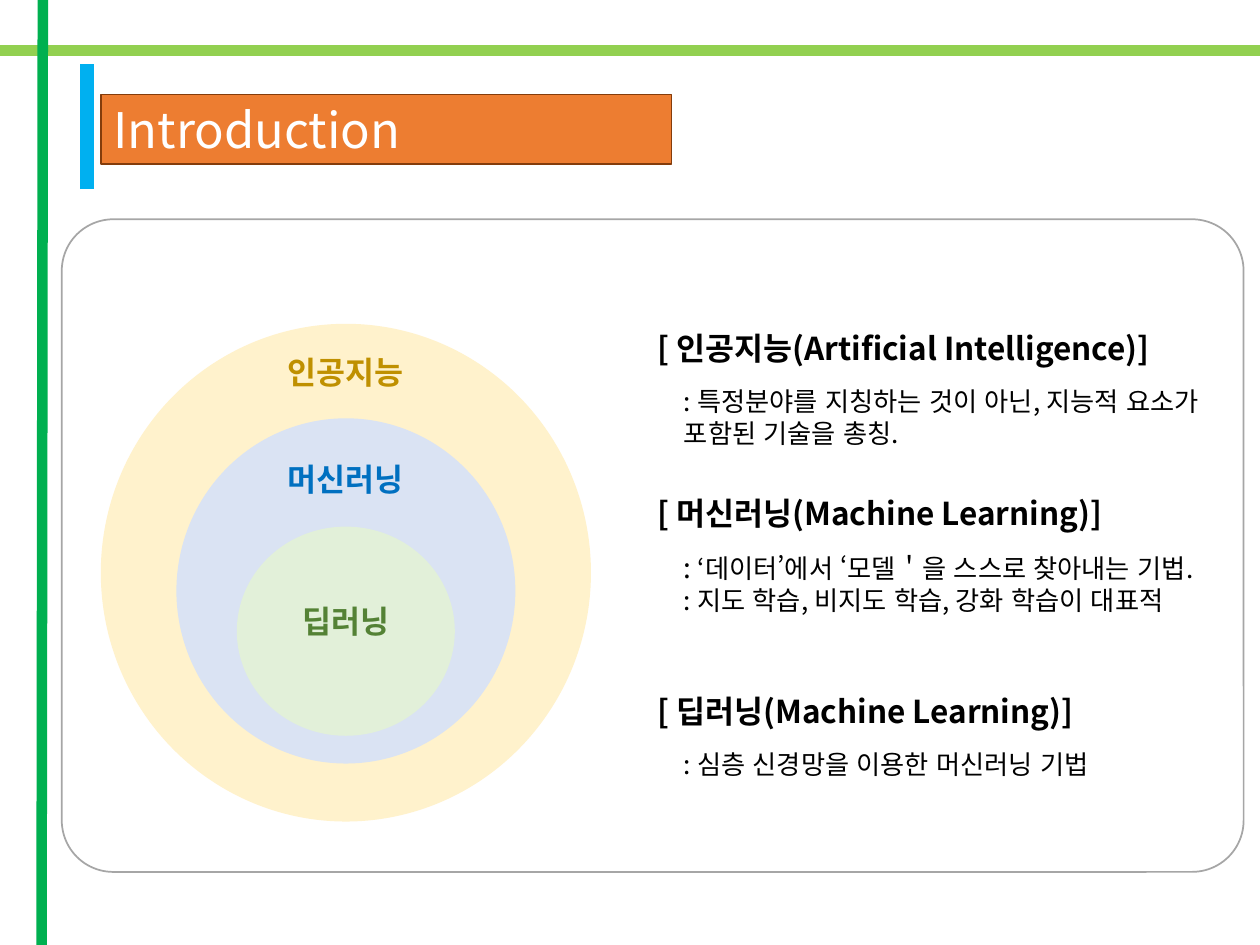
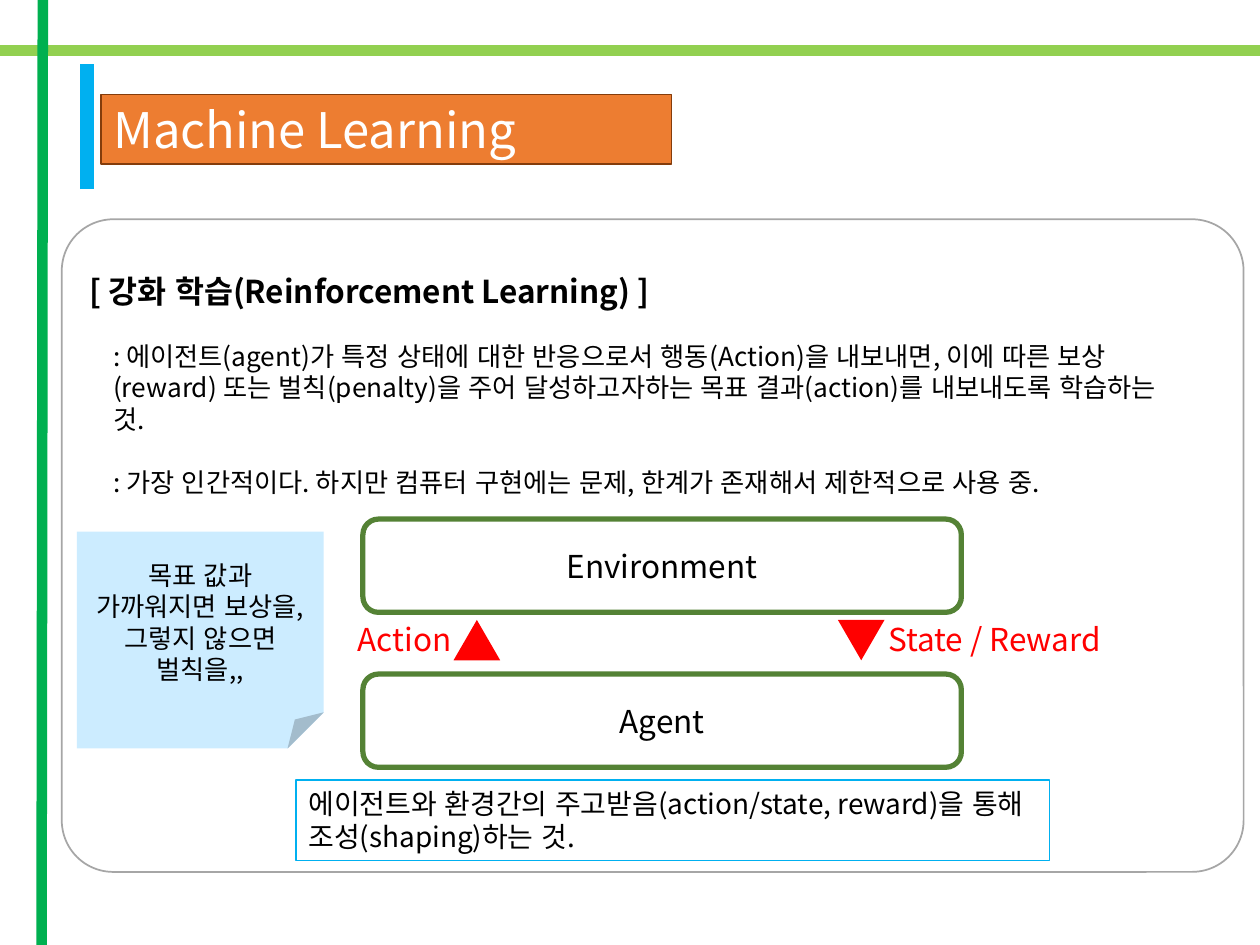
"""Build two slides that introduce artificial intelligence and reinforcement learning."""

from dataclasses import dataclass
from typing import NamedTuple, Optional

from lxml import etree
from pptx import Presentation
from pptx.dml.color import RGBColor
from pptx.enum.lang import MSO_LANGUAGE_ID
from pptx.enum.shapes import MSO_CONNECTOR, MSO_SHAPE
from pptx.enum.text import MSO_ANCHOR, MSO_AUTO_SIZE, PP_ALIGN
from pptx.oxml.ns import qn
from pptx.util import Inches, Pt

STRAIGHT = MSO_CONNECTOR.STRAIGHT
ROUNDED = MSO_SHAPE.ROUNDED_RECTANGLE
RECTANGLE = MSO_SHAPE.RECTANGLE
CIRCLE = MSO_SHAPE.FLOWCHART_CONNECTOR
CAPTION = MSO_SHAPE.FLOWCHART_ALTERNATE_PROCESS
NOTE = MSO_SHAPE.FOLDED_CORNER
UP_ARROW = MSO_SHAPE.ISOSCELES_TRIANGLE
LEFT, CENTER = PP_ALIGN.LEFT, PP_ALIGN.CENTER
TOP, MIDDLE = MSO_ANCHOR.TOP, MSO_ANCHOR.MIDDLE
NO_FIT = MSO_AUTO_SIZE.NONE
KOREAN = MSO_LANGUAGE_ID.KOREAN

FONT = "Noto Sans CJK KR"
TITLE_ONLY = 5
COLORS = {
    "white": "FFFFFF", "black": "000000", "red": "FF0000",
    "lime": "92D050", "green": "00B050", "sky": "00B0F0",
    "frame": "A6A6A6", "orange": "ED7D31", "rust": "843C0B",
    "cream": "FFF2CC", "gold": "BF9000", "pale_blue": "DAE3F3",
    "blue": "0070C0", "pale_green": "E2F0D9", "moss": "548235",
    "note": "CCECFF",
}


class Box(NamedTuple):
    left: float
    top: float
    width: float
    height: float


class Run(NamedTuple):
    text: str
    size: float


class Rule(NamedTuple):
    start: tuple[float, float]
    end: tuple[float, float]
    color: str
    width: float


@dataclass(frozen=True)
class Text:
    paragraphs: tuple[tuple[Run, ...], ...]
    color: str = "black"
    bold: bool = False
    align: PP_ALIGN = LEFT
    anchor: MSO_ANCHOR = TOP
    gap: float = 0


@dataclass(frozen=True)
class Item:
    box: Box
    kind: Optional[MSO_SHAPE] = None
    fill: Optional[str] = None
    line: Optional[str] = None
    line_width: float = 1
    text: Optional[Text] = None
    rotation: float = 0
    corner: Optional[float] = None


RULES = (
    Rule((0, 0.4), (10, 0.4), "lime", 6),
    Rule((0.34, 0), (0.33, 7.5), "green", 6),
    Rule((0.69, 1.5), (0.69, 0.51), "sky", 8),
)
FRAME = Item(Box(0.49, 1.74, 9.38, 5.18), ROUNDED, line="frame", corner=0.079)
TITLE_BOX = Box(0.8, 0.75, 4.53, 0.55)


def rgb(name: str) -> RGBColor:
    return RGBColor.from_string(COLORS[name])


def assign(target, values: dict) -> None:
    for name, value in values.items():
        setattr(target, name, value)


def lines(size: float, *texts: str) -> tuple[tuple[Run, ...], ...]:
    return tuple((Run(text, size),) for text in texts)


def paint(shape, fill: Optional[str], line: Optional[str], width: float) -> None:
    if fill:
        shape.fill.solid()
        shape.fill.fore_color.rgb = rgb(fill)
    else:
        shape.fill.background()
    if line:
        shape.line.color.rgb = rgb(line)
        shape.line.width = Pt(width)
    else:
        shape.line.fill.background()


def write(shape, text: Text) -> None:
    frame = shape.text_frame
    assign(frame, {"word_wrap": True, "auto_size": NO_FIT, "vertical_anchor": text.anchor})
    for index, runs in enumerate(text.paragraphs):
        paragraph = frame.add_paragraph() if index else frame.paragraphs[0]
        paragraph.alignment = text.align
        if index and text.gap:
            paragraph.space_before = Pt(text.gap)
        for part in runs:
            run = paragraph.add_run()
            run.text = part.text
            assign(run.font, {"name": FONT, "size": Pt(part.size), "bold": text.bold,
                              "language_id": KOREAN})
            run.font.color.rgb = rgb(text.color)
            properties = run.font._element
            etree.SubElement(properties, qn("a:ea")).set("typeface", FONT)


def draw_item(slide, item: Item) -> None:
    place = [Inches(length) for length in item.box]
    if item.kind is None:
        shape = slide.shapes.add_textbox(*place)
    else:
        shape = slide.shapes.add_shape(item.kind, *place)
        shape.shadow.inherit = False
        shape.rotation = item.rotation
        if item.corner is not None:
            shape.adjustments[0] = item.corner
        paint(shape, item.fill, item.line, item.line_width)
    if item.text:
        write(shape, item.text)


def draw_rule(slide, rule: Rule) -> None:
    points = [Inches(length) for length in (*rule.start, *rule.end)]
    connector = slide.shapes.add_connector(STRAIGHT, *points)
    connector.line.color.rgb = rgb(rule.color)
    connector.line.width = Pt(rule.width)
    etree.SubElement(connector._element.spPr, qn("a:effectLst"))


def set_title(slide, text: str) -> None:
    title = slide.shapes.title
    assign(title, {name: Inches(value) for name, value in TITLE_BOX._asdict().items()})
    geometry = etree.SubElement(title._element.spPr, qn("a:prstGeom"))
    geometry.set("prst", "roundRect")
    etree.SubElement(geometry, qn("a:avLst"))
    paint(title, "orange", "rust", 1)
    write(title, Text(lines(28, text), "white", anchor=MIDDLE))


def add_slide(presentation, title: str, items: list[Item]) -> None:
    slide = presentation.slides.add_slide(presentation.slide_layouts[TITLE_ONLY])
    set_title(slide, title)
    for rule in RULES:
        draw_rule(slide, rule)
    for item in (FRAME, *items):
        draw_item(slide, item)


def heading(left: float, top: float, width: float, text: str) -> Item:
    return Item(Box(left, top, width, 0.4), text=Text(lines(18, text), bold=True))


def ring(box: Box, fill: str, caption_top: float, caption: str, color: str) -> list[Item]:
    text = Text(lines(18, caption), color, True, CENTER, MIDDLE)
    return [Item(box, CIRCLE, fill),
            Item(Box(1.81, caption_top, 1.87, 0.48), CAPTION, text=text)]


def definition(top: float, title: str, paragraphs: tuple, width: float = 4.48) -> list[Item]:
    body = Box(5.33, top + 0.45, width, 0.31 * len(paragraphs))
    return [heading(5.12, top, 4.26, title), Item(body, text=Text(paragraphs))]


def introduction() -> list[Item]:
    machine_learning = (
        (Run(": ", 16), Run("‘데이터’에서 ‘모델＇을 스스로 찾아내는 기법.", 15)),
        *lines(15, ": 지도 학습, 비지도 학습, 강화 학습이 대표적"),
    )
    return [
        *ring(Box(0.8, 2.57, 3.89, 3.95), "cream", 2.71, "인공지능", "gold"),
        *ring(Box(1.4, 3.32, 2.69, 2.74), "pale_blue", 3.56, "머신러닝", "blue"),
        *ring(Box(1.88, 4.18, 1.73, 1.66), "pale_green", 4.69, "딥러닝", "moss"),
        *definition(2.56, "[ 인공지능(Artificial Intelligence)]",
                    lines(15, ": 특정분야를 지칭하는 것이 아닌, 지능적 요소가 포함된 기술을 총칭.")),
        *definition(3.87, "[ 머신러닝(Machine Learning)]", machine_learning, 4.67),
        *definition(5.44, "[ 딥러닝(Machine Learning)]",
                    lines(15, ": 심층 신경망을 이용한 머신러닝 기법")),
    ]


def stage(top: float, name: str) -> Item:
    text = Text(lines(18, name), align=CENTER, anchor=MIDDLE)
    return Item(Box(2.88, top, 4.75, 0.74), ROUNDED, line="moss", line_width=3, text=text)


def signal(arrow_left: float, rotation: float, label_left: float, width: float,
           name: str) -> list[Item]:
    return [
        Item(Box(arrow_left, 4.92, 0.37, 0.32), UP_ARROW, "red", rotation=rotation),
        Item(Box(label_left, 4.87, width, 0.4), text=Text(lines(18, name), "red")),
    ]


def reinforcement_learning() -> list[Item]:
    explanation = lines(
        15,
        ": 에이전트(agent)가 특정 상태에 대한 반응으로서 행동(Action)을 내보내면, 이에 따른 "
        "보상(reward) 또는 벌칙(penalty)을 주어 달성하고자하는 목표 결과(action)를 "
        "내보내도록 학습하는 것.",
        ": 가장 인간적이다. 하지만 컴퓨터 구현에는 문제, 한계가 존재해서 제한적으로 사용 중.",
    )
    summary = lines(16, "에이전트와 환경간의 주고받음(action/state, reward)을 통해 조성(shaping)하는 것.")
    reminder = lines(15, "목표 값과 가까워지면 보상을, 그렇지 않으면 벌칙을,,")
    return [
        heading(0.61, 2.11, 6.34, "[ 강화 학습(Reinforcement Learning) ]"),
        Item(Box(0.8, 2.65, 8.56, 1.36), text=Text(explanation, gap=18)),
        stage(4.12, "Environment"),
        Item(Box(2.35, 6.19, 5.98, 0.64), RECTANGLE, line="sky", line_width=0.75,
             text=Text(summary)),
        stage(5.35, "Agent"),
        *signal(3.6, 0, 2.74, 1.11, "Action"),
        *signal(6.65, 180, 6.95, 2.12, "State / Reward"),
        Item(Box(0.61, 4.22, 1.96, 1.72), NOTE, "note",
             text=Text(reminder, align=CENTER, anchor=MIDDLE)),
    ]


def main() -> None:
    presentation = Presentation()
    assign(presentation, {"slide_width": Inches(10), "slide_height": Inches(7.5)})
    add_slide(presentation, "Introduction", introduction())
    add_slide(presentation, "Machine Learning", reinforcement_learning())
    presentation.save("out.pptx")


main()
